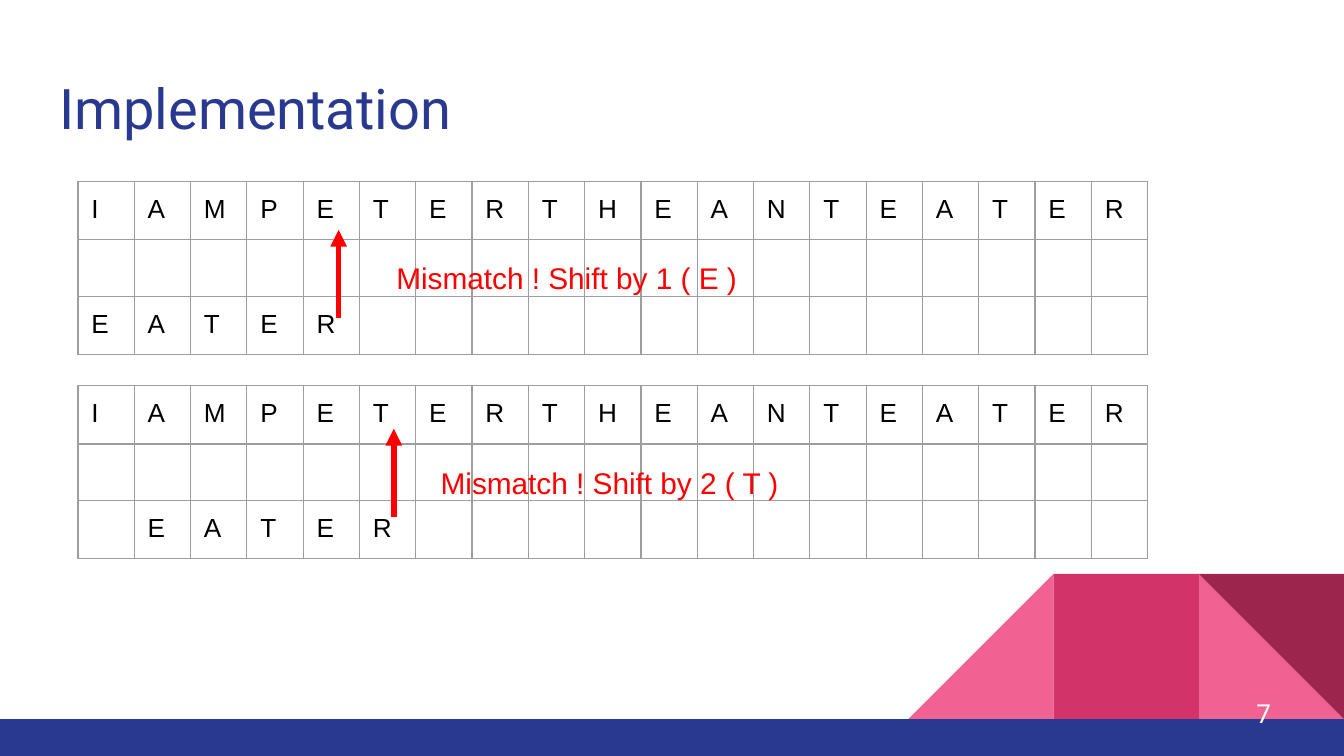
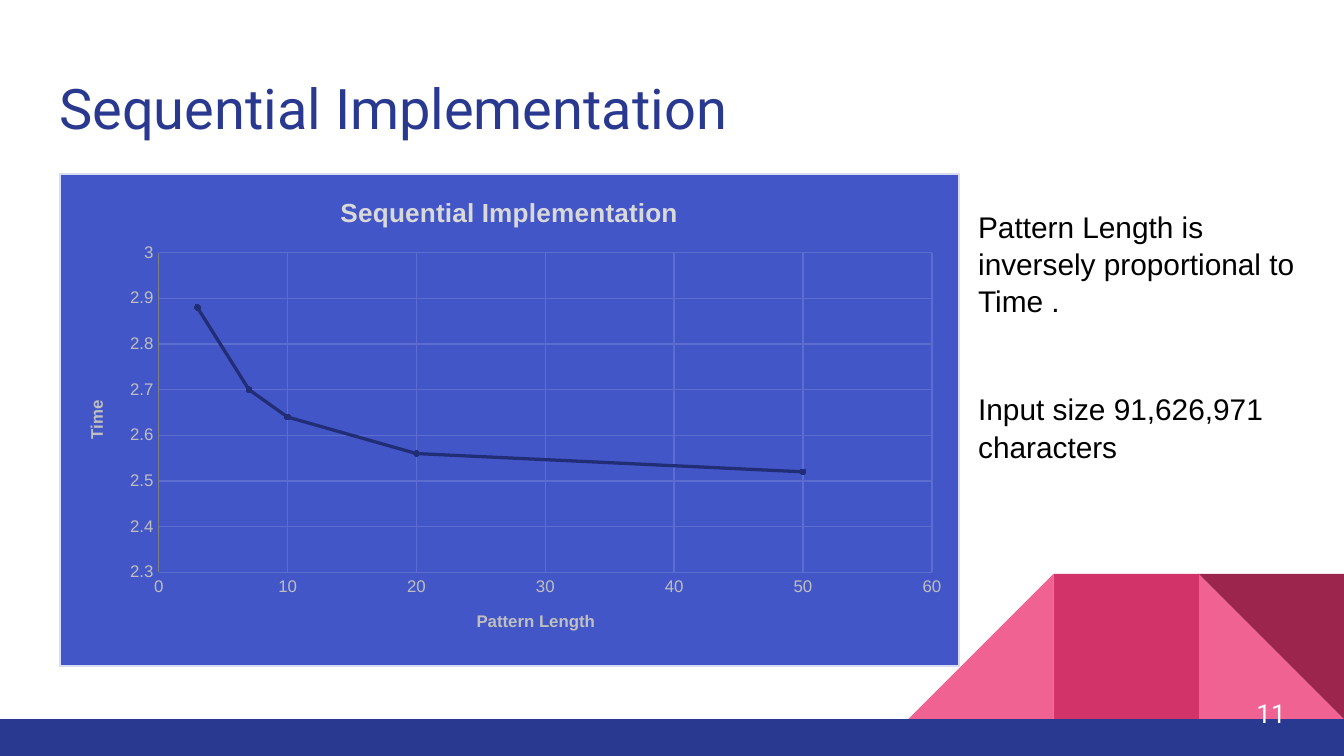
from lxml import etree
from pptx import Presentation
from pptx.chart.data import XyChartData
from pptx.dml.color import RGBColor
from pptx.enum import chart as charts, shapes, text
from pptx.oxml import parse_xml
from pptx.oxml.ns import nsdecls, qn
from pptx.util import Inches, Pt

NAVY, PINK, ROSE, WINE = "2A3990", "F06292", "D23369", "9C254D"
RED, BLACK, WHITE, GREY = "FF0000", "000000", "FFFFFF", "9E9E9E"
PANEL, PANEL_EDGE, GRID, CURVE = "4356C8", "D9DDF4", "5C6DCF", "212D74"
rgb = RGBColor.from_string


def write(frame, words, size=14, color=BLACK, font="Arial", bold=False, before=0, spacing=None):
    """Fill the frame's empty first paragraph, or add a paragraph after its text."""
    para = frame.paragraphs[0]
    if para.runs:
        para = frame.add_paragraph()
    para.space_before = Pt(before)
    para.line_spacing = spacing
    span = para.add_run()
    span.text = words
    span.font.size, span.font.name, span.font.bold = Pt(size), font, bold
    span.font.color.rgb = rgb(color)
    return para


def add_box(page, left, top, width, height, inset=0.1):
    box = page.shapes.add_textbox(Inches(left), Inches(top), Inches(width), Inches(height))
    frame = box.text_frame
    frame.word_wrap = True
    frame.margin_left = frame.margin_right = Inches(0.1)
    frame.margin_top = frame.margin_bottom = Inches(inset)
    return frame


deck = Presentation()
deck.slide_width, deck.slide_height = Inches(10), Inches(5.625)

# Title, corner artwork and page number on every slide
TRIANGLE, RECTANGLE = shapes.MSO_SHAPE.RIGHT_TRIANGLE, shapes.MSO_SHAPE.RECTANGLE
artwork = [
    # preset, left, top, width, height, colour, rotation, flipped
    (TRIANGLE, 8.92, 4.27, 1.08, 1.08, PINK, 0, False),
    (TRIANGLE, 6.76, 4.27, 1.08, 1.08, PINK, 0, True),
    (RECTANGLE, 7.84, 4.27, 1.08, 1.08, ROSE, 0, False),
    (TRIANGLE, 8.92, 4.27, 1.08, 1.08, WINE, 180, False),
    (RECTANGLE, 0, 5.35, 10, 0.28, NAVY, 0, False),
]
pages = []
for heading, number in [("Implementation", "7"), ("Sequential Implementation", "11")]:
    page = deck.slides.add_slide(deck.slide_layouts[5])
    pages.append(page)
    group = page.shapes.add_group_shape()
    for preset, left, top, width, height, color, rotation, flipped in artwork:
        piece = group.shapes.add_shape(
            preset, Inches(left), Inches(top), Inches(width), Inches(height))
        piece.shadow.inherit = False
        piece.fill.solid()
        piece.fill.fore_color.rgb = rgb(color)
        piece.line.fill.background()
        piece.rotation = rotation
        if flipped:
            piece.element.spPr.xfrm.set("flipH", "1")

    title = page.shapes.title
    title.left, title.top = Inches(0.34), Inches(0.45)
    title.width, title.height = Inches(9.32), Inches(0.66)
    frame = title.text_frame
    frame.margin_left = frame.margin_right = frame.margin_top = frame.margin_bottom = Inches(0.1)
    frame.vertical_anchor = text.MSO_ANCHOR.TOP
    frame.auto_size = text.MSO_AUTO_SIZE.NONE
    write(frame, heading, size=30, color=NAVY, font="Roboto").alignment = text.PP_ALIGN.LEFT

    frame = add_box(page, 9.25, 5.09, 0.6, 0.43)
    frame.vertical_anchor = text.MSO_ANCHOR.MIDDLE
    write(frame, number, color=WHITE, font="Roboto")

# Matching steps: the text above, the shifted pattern below
matching, timing = pages
SENTENCE, PATTERN = "IAMPETERTHEANTEATER", "EATER"
steps = [
    # table top, shift, arrow x, arrow start, arrow end, note left, note top, note
    (1.35, 0, 2.52, 2.37, 1.71, 2.85, 1.83, "Mismatch ! Shift by 1 ( E )"),
    (2.87, 1, 2.93, 3.85, 3.19, 3.18, 3.36, "Mismatch ! Shift by 2 ( T )"),
]
for top, shift, arrow_x, start, end, note_left, note_top, note in steps:
    rows = [SENTENCE, "", " " * shift + PATTERN]
    columns = len(SENTENCE)
    table = matching.shapes.add_table(
        len(rows), columns, Inches(0.58), Inches(top), Inches(7.96), Inches(1.26)).table
    table.first_row = table.horz_banding = False
    for column in table.columns:
        column.width = Inches(7.96 / columns)
    for row, letters in enumerate(rows):
        for position, letter in enumerate(letters.ljust(columns)):
            cell = table.cell(row, position)
            if letter != " ":
                cell.margin_left = cell.margin_right = Inches(0.1)
                cell.margin_top = cell.margin_bottom = Inches(0.1)
                write(cell.text_frame, letter)
            for side in ("lnL", "lnR", "lnT", "lnB"):
                cell._tc.get_or_add_tcPr().append(parse_xml(
                    f'<a:{side} {nsdecls("a")} w="9525"><a:solidFill>'
                    f'<a:srgbClr val="{GREY}"/></a:solidFill></a:{side}>'))
            cell.fill.background()

    arrow = matching.shapes.add_connector(
        shapes.MSO_CONNECTOR.STRAIGHT,
        Inches(arrow_x), Inches(start), Inches(arrow_x), Inches(end))
    arrow.line.color.rgb = rgb(RED)
    arrow.line.width = Pt(3)
    outline = arrow.element.spPr.find(qn("a:ln"))
    etree.SubElement(outline, qn("a:tailEnd"), type="triangle")
    etree.SubElement(arrow.element.spPr, qn("a:effectLst"))

    write(add_box(matching, note_left, note_top, 5.69, 0.32), note, size=16, color=RED)

# Running time against pattern length
data = XyChartData()
measured = data.add_series("Series 1")
for length, seconds in [(3, 2.88), (7, 2.7), (10, 2.64), (20, 2.56), (50, 2.52)]:
    measured.add_data_point(length, seconds)
chart = timing.shapes.add_chart(
    charts.XL_CHART_TYPE.XY_SCATTER_LINES,
    Inches(0.44), Inches(1.29), Inches(6.7), Inches(3.67), data).chart
chart.has_legend = False
chart.font.size, chart.font.name = Pt(10), "Arial"
chart.font.color.rgb = rgb(NAVY)
chart.has_title = True
write(chart.chart_title.text_frame, "Sequential Implementation", color="D9D9D9", bold=True)
chart.chart_title.include_in_layout = False

length_axis, time_axis = chart.category_axis, chart.value_axis
for axis, label, low, high, step in [
    (length_axis, "Pattern Length", 0, 60, 10),
    (time_axis, "Time", 2.3, 3, 0.1),
]:
    axis.minimum_scale, axis.maximum_scale, axis.major_unit = low, high, step
    axis.major_tick_mark = axis.minor_tick_mark = charts.XL_TICK_MARK.NONE
    axis.tick_labels.font.size, axis.tick_labels.font.name = Pt(9), "Arial"
    axis.tick_labels.font.color.rgb = rgb("BFBFBF")
    axis.has_major_gridlines = True
    axis.major_gridlines.format.line.color.rgb = rgb(GRID)
    axis.major_gridlines.format.line.width = Pt(0.75)
    write(axis.axis_title.text_frame, label, size=9, color="BFBFBF", bold=True)
length_axis.format.line.fill.background()
time_axis.format.line.color.rgb = rgb("808080")
time_axis.format.line.width = Pt(0.75)
time_axis.axis_title.text_frame._txBody.bodyPr.set("rot", "-5400000")

chart.plots[0].vary_by_categories = False
curve = chart.plots[0].series[0]
curve.format.line.color.rgb = rgb(CURVE)
curve.format.line.width = Pt(1.75)
curve.marker.style, curve.marker.size = charts.XL_MARKER_STYLE.CIRCLE, 3
curve.marker.format.fill.solid()
curve.marker.format.fill.fore_color.rgb = rgb("5668CF")
curve.marker.format.line.color.rgb = rgb(CURVE)

chart.element.find(qn("c:chart")).addnext(parse_xml(
    f'<c:spPr {nsdecls("c", "a")}><a:solidFill><a:srgbClr val="{PANEL}"/></a:solidFill>'
    f'<a:ln w="9525"><a:solidFill><a:srgbClr val="{PANEL_EDGE}"/></a:solidFill></a:ln></c:spPr>'))
plot_area = chart.element.find(".//" + qn("c:plotArea"))
for layout in plot_area.findall(qn("c:layout")):
    plot_area.remove(layout)
plot_area.insert(0, parse_xml(
    f'<c:layout {nsdecls("c")}><c:manualLayout><c:layoutTarget val="inner"/>'
    '<c:xMode val="edge"/><c:yMode val="edge"/>'
    '<c:x val="0.11"/><c:y val="0.16"/><c:w val="0.86"/><c:h val="0.65"/>'
    '</c:manualLayout></c:layout>'))

remarks = add_box(timing, 7.18, 1.49, 2.67, 1.99, inset=0.05)
write(remarks, "Pattern Length is inversely proportional to Time .", size=16, spacing=1.04)
write(remarks, "Input size 91,626,971 characters", size=16, spacing=1.04, before=38)

deck.save("out.pptx")
